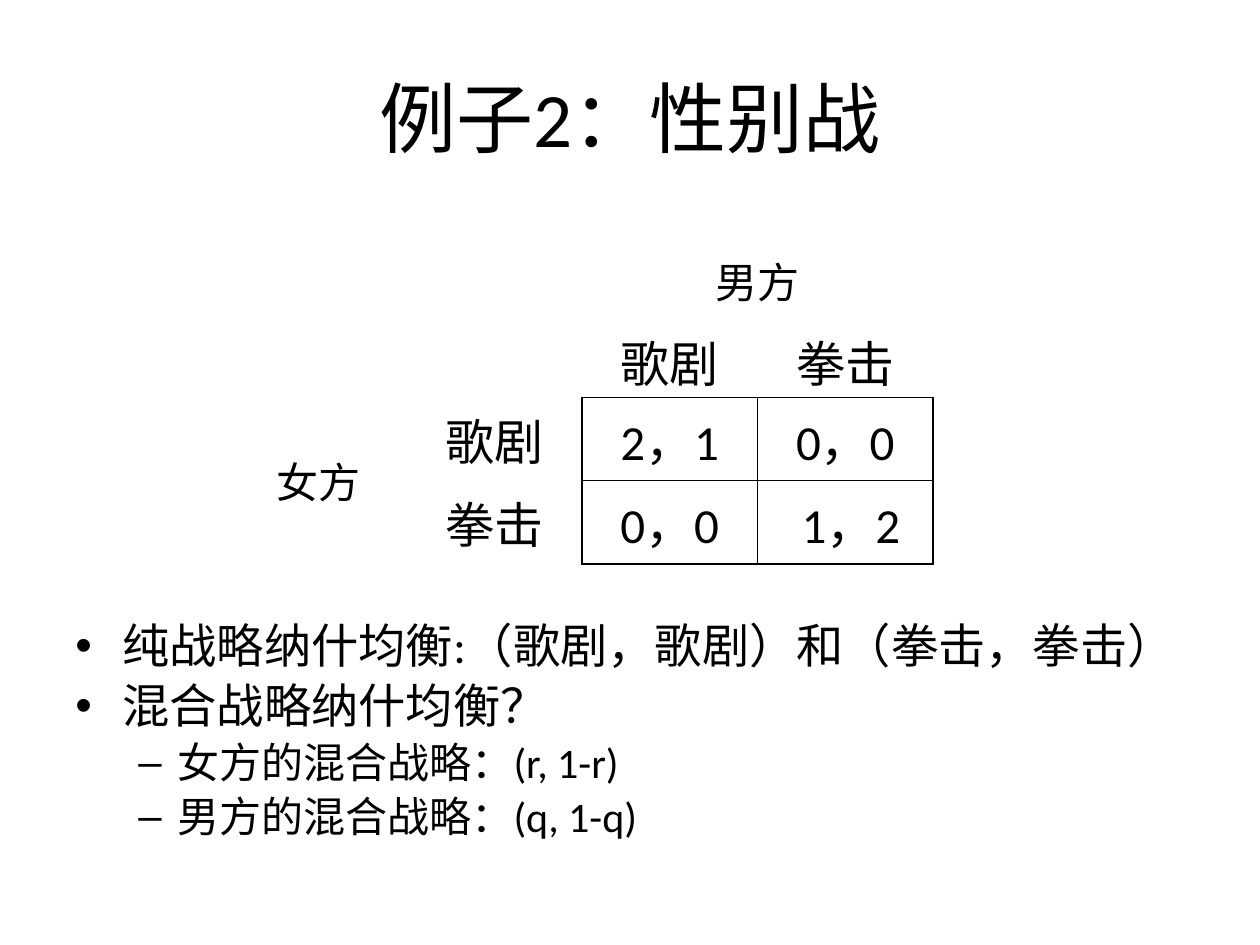
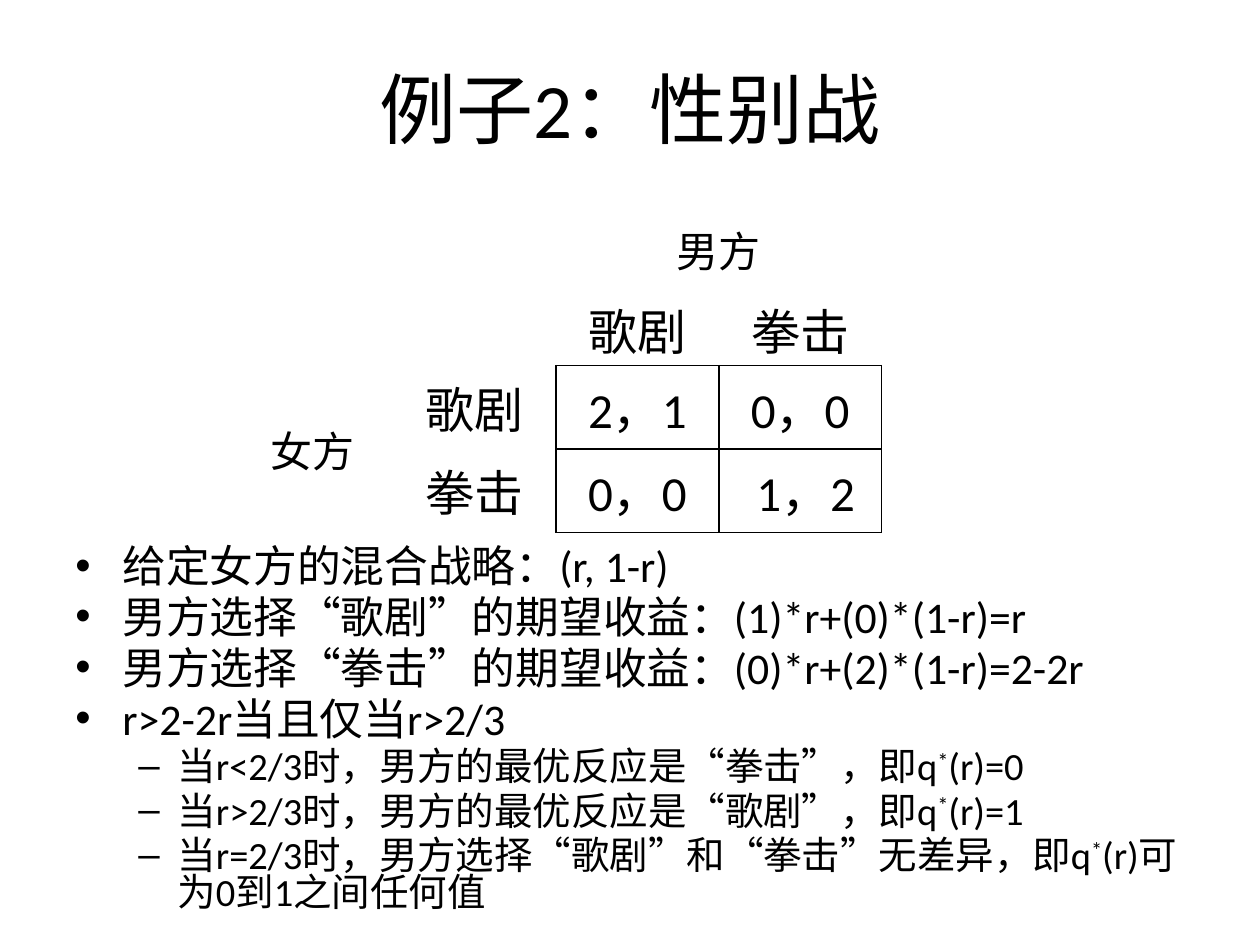
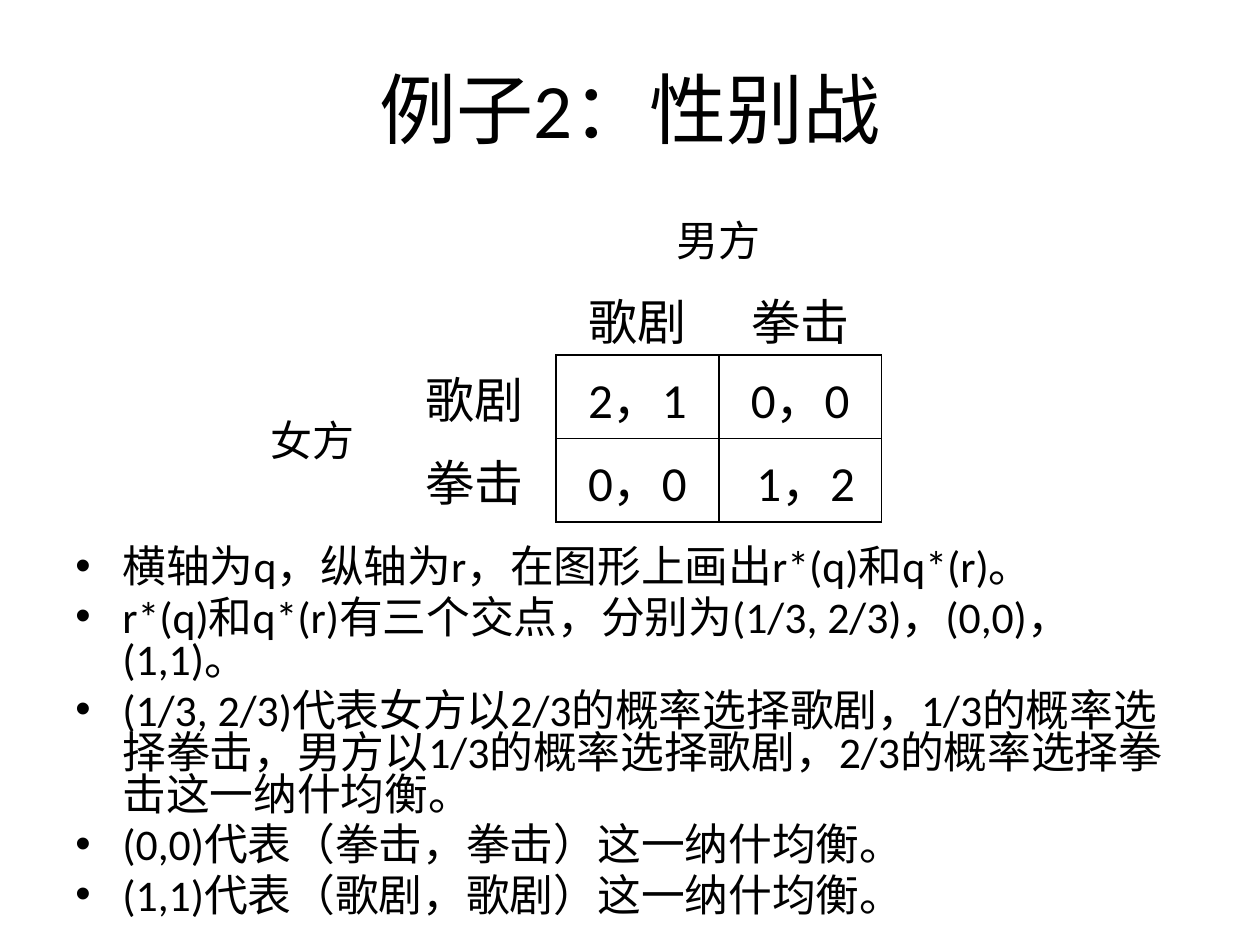
from dataclasses import dataclass

from lxml import etree
from pptx import Presentation
from pptx import util as u
from pptx.dml.color import RGBColor
from pptx.enum import lang, text
from pptx.oxml import ns


@dataclass(frozen=True)
class Theme:
    font: str = "Calibri"
    ink: RGBColor = RGBColor(0, 0, 0)
    title: int = 44
    player: int = 24
    strategy: int = 28
    border: float = 1
    margin: float = 1.27
    width: float = 22.86
    row_heights: tuple = (1.57, 1.57, 1.68, 1.68)
    # bullet sign, left margin and hanging indent in cm, one entry per level
    levels: tuple = (("•", 0.95, 0.95), ("–", 2.06, 0.79))


TITLE = "例子2：性别战"
PLAYERS = {(0, 2): "男方", (2, 0): "女方"}
GAME = [
    ["", "", "男方", ""],
    ["", "", "歌剧", "拳击"],
    ["女方", "歌剧", "2，1", "0，0"],
    ["", "拳击", "0，0", " 1，2"],
]

# Each bullet is (level, text); "^*" marks a raised star.
SLIDES = [
    dict(
        table=dict(top=4.87, column=3.54),
        title_spacing=1.0,
        body=dict(top=12.3, bottom=18.42, sizes=(27, 24), spacing=0.9, first_spacing=1.0),
        bullets=[
            (0, "纯战略纳什均衡:（歌剧，歌剧）和（拳击，拳击）"),
            (0, "混合战略纳什均衡？"),
            (1, "女方的混合战略：(r, 1-r)"),
            (1, "男方的混合战略：(q, 1-q)"),
        ],
    ),
    dict(
        table=dict(top=4.23, column=3.28),
        title_spacing=0.8,
        body=dict(top=10.95, bottom=19.05, sizes=(25, 22), spacing=0.8, first_spacing=0.8),
        bullets=[
            (0, "给定女方的混合战略：(r, 1-r)"),
            (0, "男方选择“歌剧”的期望收益：(1)*r+(0)*(1-r)=r"),
            (0, "男方选择“拳击”的期望收益：(0)*r+(2)*(1-r)=2-2r"),
            (0, "r>2-2r当且仅当r>2/3"),
            (1, "当r<2/3时，男方的最优反应是“拳击”，即q^*(r)=0"),
            (1, "当r>2/3时，男方的最优反应是“歌剧”，即q^*(r)=1"),
            (1, "当r=2/3时，男方选择“歌剧”和“拳击”无差异，即q^*(r)可为0到1之间任何值"),
        ],
    ),
    dict(
        table=dict(top=4.02, column=3.28),
        title_spacing=0.8,
        body=dict(top=10.95, bottom=19.05, sizes=(25, 22), spacing=0.8, first_spacing=0.8),
        bullets=[
            (0, "横轴为q，纵轴为r，在图形上画出r*(q)和q*(r)。"),
            (0, "r*(q)和q*(r)有三个交点，分别为(1/3, 2/3)，(0,0)，(1,1)。"),
            (0, "(1/3, 2/3)代表女方以2/3的概率选择歌剧，1/3的概率选择拳击，"
                "男方以1/3的概率选择歌剧，2/3的概率选择拳击这一纳什均衡。"),
            (0, "(0,0)代表（拳击，拳击）这一纳什均衡。"),
            (0, "(1,1)代表（歌剧，歌剧）这一纳什均衡。"),
        ],
    ),
]


def apply(target, **formats):
    for name, value in formats.items():
        setattr(target, name, value)


class Builder:
    def __init__(self, theme):
        self.theme = theme
        self.deck = Presentation()
        apply(self.deck, slide_width=u.Cm(25.4), slide_height=u.Cm(19.05))
        self.page = None

    def new_page(self):
        self.page = self.deck.slides.add_slide(self.deck.slide_layouts[6])

    def span(self, para, words, size):
        span = para.add_run()
        span.text = words
        apply(span.font, name=self.theme.font, size=u.Pt(size),
              language_id=lang.MSO_LANGUAGE_ID.SIMPLIFIED_CHINESE)
        span.font.color.rgb = self.theme.ink
        return span

    def box(self, top, height, anchor):
        box = self.page.shapes.add_textbox(
            u.Cm(self.theme.margin), u.Cm(top), u.Cm(self.theme.width), u.Cm(height))
        apply(box.text_frame, word_wrap=True, vertical_anchor=anchor)
        return box.text_frame

    def title(self, words, spacing):
        para = self.box(0.76, 3.18, text.MSO_ANCHOR.MIDDLE).paragraphs[0]
        apply(para, alignment=text.PP_ALIGN.CENTER, line_spacing=spacing)
        self.span(para, words, self.theme.title)

    def bullet(self, para, level):
        sign, left, hanging = self.theme.levels[level]
        props = para._p.get_or_add_pPr()
        props.set("marL", str(u.Cm(left)))
        props.set("indent", str(-u.Cm(hanging)))
        etree.SubElement(props, ns.qn("a:buFont")).set("typeface", "Arial")
        etree.SubElement(props, ns.qn("a:buChar")).set("char", sign)

    def body(self, bullets, top, bottom, sizes, spacing, first_spacing):
        frame = self.box(top, bottom - top, text.MSO_ANCHOR.TOP)
        for index, (level, words) in enumerate(bullets):
            para = frame.add_paragraph() if index else frame.paragraphs[0]
            size = sizes[level]
            self.bullet(para, level)
            apply(para, level=level, line_spacing=spacing if index else first_spacing)
            if index:
                para.space_before = u.Pt(size * 0.2)
            before, star, after = words.partition("^*")
            self.span(para, before, size)
            if star:
                raised = self.span(para, "*", size)
                raised.font._rPr.set("baseline", "30000")
                self.span(para, after, size)

    def borders(self, cell, sides):
        props = cell._tc.get_or_add_tcPr()
        for side in sides:
            line = etree.SubElement(props, ns.qn(f"a:ln{side}"), w=str(u.Pt(self.theme.border)))
            fill = etree.SubElement(line, ns.qn("a:solidFill"))
            etree.SubElement(fill, ns.qn("a:srgbClr"), val=str(self.theme.ink))

    def payoff_table(self, top, column):
        heights = self.theme.row_heights
        table = self.page.shapes.add_table(
            4, 4, u.Cm(4.65), u.Cm(top), u.Cm(4 * column), u.Cm(sum(heights))).table
        apply(table, first_row=False, horz_banding=False)
        for col in table.columns:
            col.width = u.Cm(column)
        for row, height in zip(table.rows, heights):
            row.height = u.Cm(height)
        table.cell(0, 2).merge(table.cell(0, 3))
        table.cell(2, 0).merge(table.cell(3, 0))
        for r, row in enumerate(GAME):
            for c, words in enumerate(row):
                cell = table.cell(r, c)
                if r >= 2 and c >= 2:
                    self.borders(cell, "LRTB")
                elif r == 1 and c >= 2:
                    self.borders(cell, "B")
                elif c == 1 and r >= 2:
                    self.borders(cell, "R")
                cell.fill.background()
                cell.vertical_anchor = text.MSO_ANCHOR.MIDDLE
                if words:
                    para = cell.text_frame.paragraphs[0]
                    para.alignment = text.PP_ALIGN.CENTER
                    is_player = (r, c) in PLAYERS
                    self.span(para, words, self.theme.player if is_player else self.theme.strategy)


def main():
    builder = Builder(Theme())
    for slide in SLIDES:
        builder.new_page()
        builder.title(TITLE, slide["title_spacing"])
        builder.body(slide["bullets"], **slide["body"])
        builder.payoff_table(**slide["table"])
    builder.deck.save("out.pptx")


if __name__ == "__main__":
    main()
